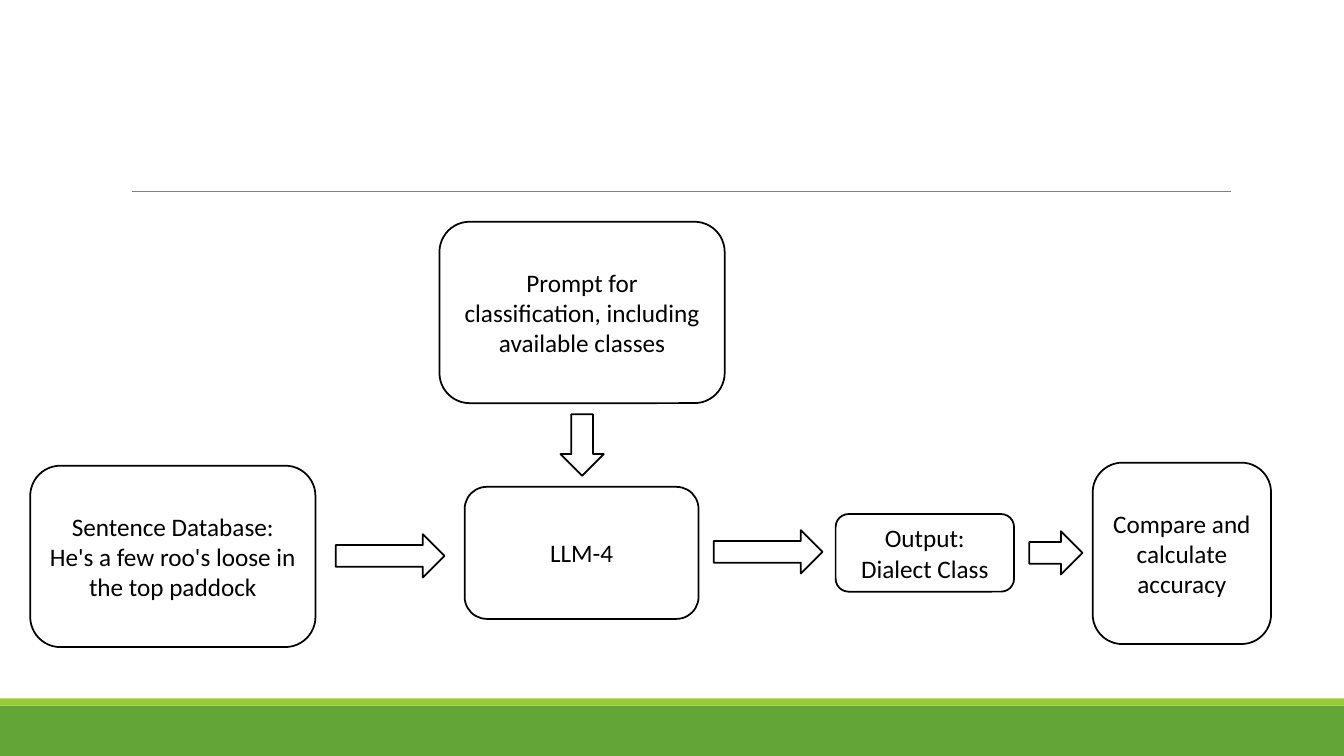
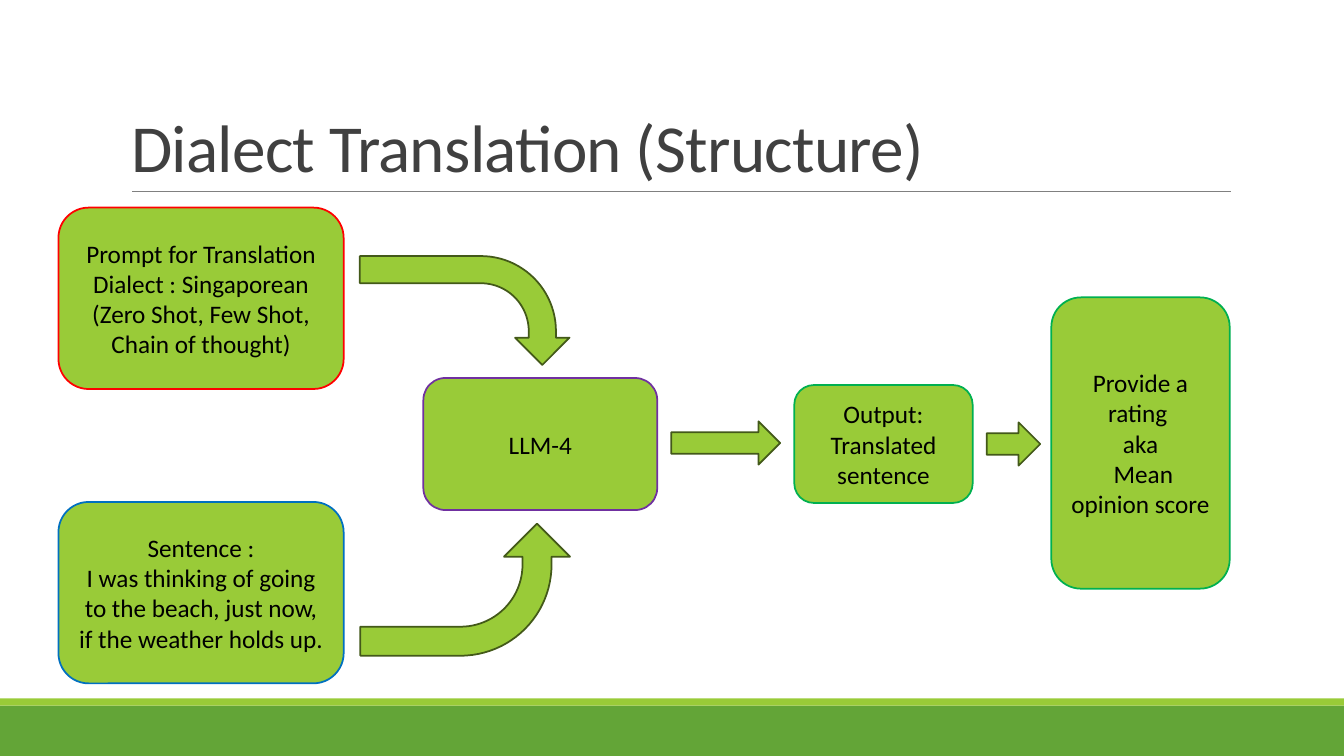
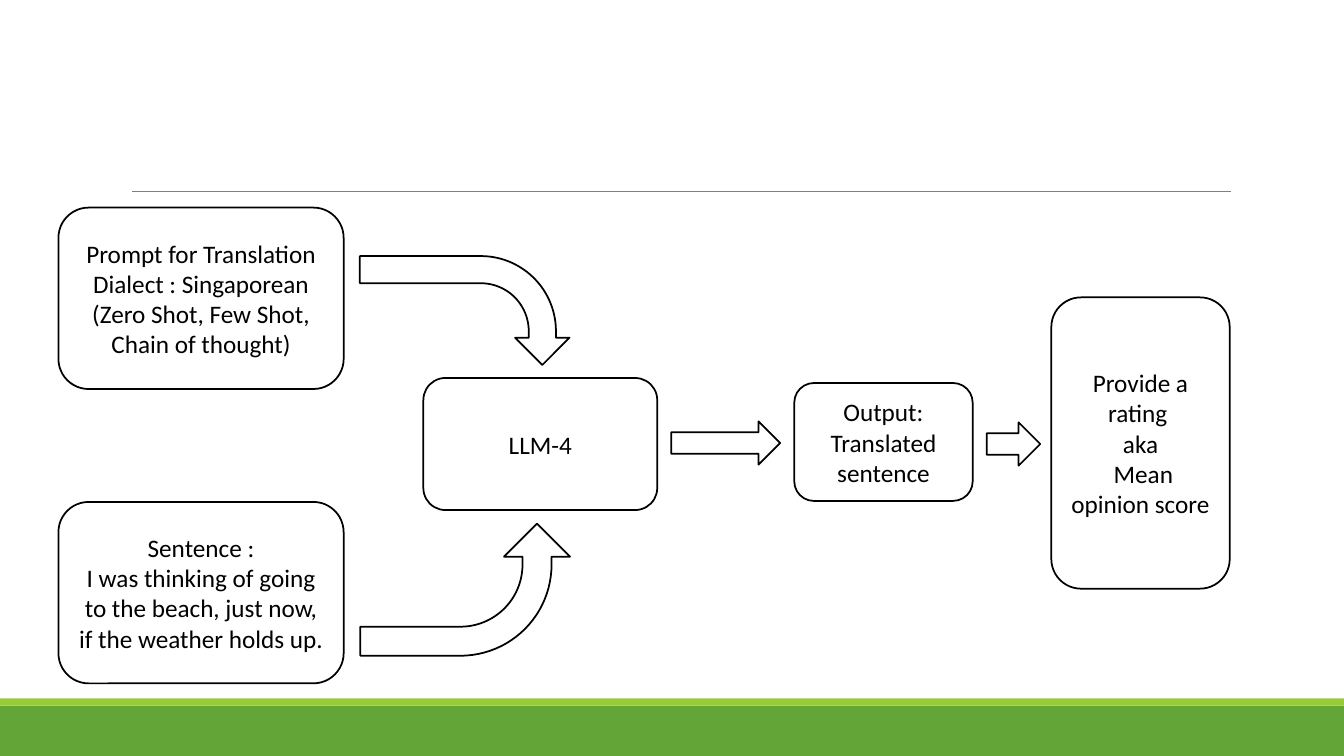
from dataclasses import dataclass

from lxml.etree import SubElement
from pptx import Presentation
from pptx.dml.color import RGBColor
from pptx.enum.shapes import MSO_CONNECTOR, MSO_SHAPE
from pptx.enum.text import MSO_ANCHOR, MSO_AUTO_SIZE, PP_ALIGN
from pptx.oxml.ns import qn
from pptx.util import Inches, Pt

# The grid: square cells, COLUMNS across and ROWS down.
CELL = 0.1
COLUMNS, ROWS = 133.33, 75

# Width and height of the flow's parts, in cells.
INPUT_BOX = (28.3, 18)
MODEL_BOX = (23.2, 13.1)
STEP_WIDTH = 17.7
LONG_ARROW = (10.8, 4.3)
SHORT_ARROW = (5.3, 4.3)
DOWN_ARROW = (6.1, 4.3)

MODEL_NAME = "LLM-4"


@dataclass(frozen=True)
class Theme:
    """Colours and type sizes of the whole presentation."""
    font: str = "Calibri"
    title_size: float = 48
    label_size: float = 18
    outline: float = 1.25
    hairline: float = 0.5
    title: str = "404040"
    ink: str = "000000"
    paper: str = "FFFFFF"
    band: str = "63A537"
    lime: str = "99CB38"
    rule: str = "808080"
    olive: str = "435919"
    red: str = "FF0000"
    violet: str = "7030A0"
    blue: str = "0070C0"
    green: str = "00B050"


THEME = Theme()


@dataclass(frozen=True)
class FlowColours:
    """Fill and outline colours of one flow diagram."""
    fill: str = THEME.paper
    arrow: str = THEME.ink
    prompt: str = THEME.ink
    sentence: str = THEME.ink
    model: str = THEME.ink
    result: str = THEME.ink


PLAIN = FlowColours()
COLOURED = FlowColours(THEME.lime, THEME.olive, THEME.red, THEME.blue,
                       THEME.violet, THEME.green)


def cells(*counts):
    """Turn counts of grid cells into lengths."""
    return [Inches(count * CELL) for count in counts]


def write(frame, *lines, size=THEME.label_size, colour=THEME.ink,
          align=PP_ALIGN.CENTER, anchor=MSO_ANCHOR.MIDDLE, spacing=None,
          tracking=None):
    """Write one paragraph per line into a text frame."""
    frame.word_wrap = True
    frame.auto_size = MSO_AUTO_SIZE.NONE
    frame.vertical_anchor = anchor
    for index, line in enumerate(lines):
        paragraph = frame.add_paragraph() if index else frame.paragraphs[0]
        paragraph.alignment = align
        paragraph.line_spacing = spacing
        run = paragraph.add_run()
        run.text = line
        run.font.name = THEME.font
        run.font.size = Pt(size)
        run.font.color.rgb = RGBColor.from_string(colour)
        if tracking is not None:
            run.font._element.set("spc", str(round(tracking * 100)))


def draw(slide, preset, corner, size, fill, outline=None):
    """Draw a flat preset shape with its top left corner on the grid."""
    shape = slide.shapes.add_shape(preset, *cells(*corner, *size))
    shape.shadow.inherit = False
    shape.fill.solid()
    shape.fill.fore_color.rgb = RGBColor.from_string(fill)
    if outline:
        shape.line.color.rgb = RGBColor.from_string(outline)
        shape.line.width = Pt(THEME.outline)
    else:
        shape.line.fill.background()
    return shape


def box(slide, corner, size, *lines, fill=THEME.paper, outline=THEME.ink):
    """Draw a rounded box with centred text."""
    step = draw(slide, MSO_SHAPE.ROUNDED_RECTANGLE, corner, size, fill, outline)
    write(step.text_frame, *lines)


def arrow(slide, corner, size, colours=PLAIN, turn=0):
    """Draw a straight block arrow, turned clockwise by some degrees."""
    pointer = draw(slide, MSO_SHAPE.RIGHT_ARROW, corner, size,
                   colours.fill, colours.arrow)
    pointer.rotation = turn


def bent_arrow(slide, corner, size, colours, thickness, upward=False):
    """Draw a curved block arrow that runs right, then down or up."""
    bend = draw(slide, MSO_SHAPE.BENT_ARROW, corner, size,
                colours.fill, colours.arrow)
    bend.rotation = 90
    for index, share in enumerate((thickness, 0.25, 0.25, 0.69)):
        bend.adjustments[index] = share
    if upward:
        bend.element.spPr.xfrm.set("flipH", "1")


def rule_line(slide, start, end):
    """Draw a thin grey line without shadow."""
    rule = slide.shapes.add_connector(MSO_CONNECTOR.STRAIGHT,
                                      *cells(*start, *end))
    rule.line.color.rgb = RGBColor.from_string(THEME.rule)
    rule.line.width = Pt(THEME.hairline)
    SubElement(rule.element.spPr, qn("a:effectLst"))
    return rule


def decorate_master(deck, slide):
    """Put the footer bands and the title rule on the slide master."""
    parts = (
        draw(slide, MSO_SHAPE.RECTANGLE, (0, 70), (COLUMNS, 5), THEME.band),
        draw(slide, MSO_SHAPE.RECTANGLE, (0, 69.3), (COLUMNS, 0.7), THEME.lime),
        rule_line(slide, (13.1, 19), (122.1, 19)),
    )
    for number, part in enumerate(parts, start=101):
        part.element.xpath(".//p:cNvPr")[0].set("id", str(number))
        deck.slide_master.shapes.element.append(part.element)


def add_slide(deck, title=None):
    """Add a slide, with a title if one is given."""
    name = "Title Only" if title else "Blank"
    slide = deck.slides.add_slide(deck.slide_layouts.get_by_name(name))
    if title:
        heading = slide.shapes.title
        heading.left, heading.top, heading.width, heading.height = cells(
            12, 3.1, 110, 15.9)
        write(heading.text_frame, title, size=THEME.title_size,
              colour=THEME.title, align=PP_ALIGN.LEFT,
              anchor=MSO_ANCHOR.BOTTOM, spacing=0.85, tracking=-0.5)
    return slide


def classification_flow(slide):
    """Draw the steps of dialect classification."""
    box(slide, (43.6, 22), INPUT_BOX,
        "Prompt for classification, including available classes")
    box(slide, (46.1, 48.3), MODEL_BOX, MODEL_NAME)
    box(slide, (3, 46.2), INPUT_BOX, "Sentence Database:",
        "He's a few roo's loose in the top paddock")
    box(slide, (82.9, 51), (STEP_WIDTH, 7.7), "Output:", "Dialect Class")
    box(slide, (108.4, 45.9), (STEP_WIDTH, 18),
        "Compare and calculate accuracy")
    arrow(slide, (33.3, 53), LONG_ARROW)
    arrow(slide, (70.8, 52.6), LONG_ARROW)
    arrow(slide, (102.1, 52.7), SHORT_ARROW)
    arrow(slide, (54.7, 42), DOWN_ARROW, turn=90)


def translation_flow(slide, colours, output_row):
    """Draw the steps of dialect translation."""
    fill = colours.fill
    box(slide, (5.8, 20.6), INPUT_BOX, "Prompt for Translation",
        "Dialect : Singaporean", "(Zero Shot, Few Shot, Chain of thought)",
        fill=fill, outline=colours.prompt)
    box(slide, (42, 37.5), MODEL_BOX, MODEL_NAME,
        fill=fill, outline=colours.model)
    box(slide, (5.8, 49.8), INPUT_BOX, "Sentence :",
        "I was thinking of going to the beach, just now, "
        "if the weather holds up.",
        fill=fill, outline=colours.sentence)
    bent_arrow(slide, (40.7, 20.4), (10.8, 20.8), colours, 0.25)
    bent_arrow(slide, (39.6, 48.1), (13.1, 20.8), colours, 0.22, upward=True)
    box(slide, (78.8, output_row), (STEP_WIDTH, 11.7),
        "Output:", "Translated sentence", fill=fill, outline=colours.result)
    arrow(slide, (66.6, 41.8), LONG_ARROW, colours)
    box(slide, (104.3, 29.5), (STEP_WIDTH, 28.9), "Provide a rating ", "aka",
        " Mean opinion score", fill=fill, outline=colours.result)
    arrow(slide, (97.9, 41.9), SHORT_ARROW, colours)


def main():
    """Build and save the presentation."""
    deck = Presentation()
    deck.slide_width, deck.slide_height = cells(COLUMNS, ROWS)

    classification = add_slide(deck)
    decorate_master(deck, classification)
    classification_flow(classification)

    structure = add_slide(deck, "Dialect Translation (Structure)")
    translation_flow(structure, COLOURED, output_row=38.2)

    translation_flow(add_slide(deck), PLAIN, output_row=38)
    deck.save("out.pptx")


main()
